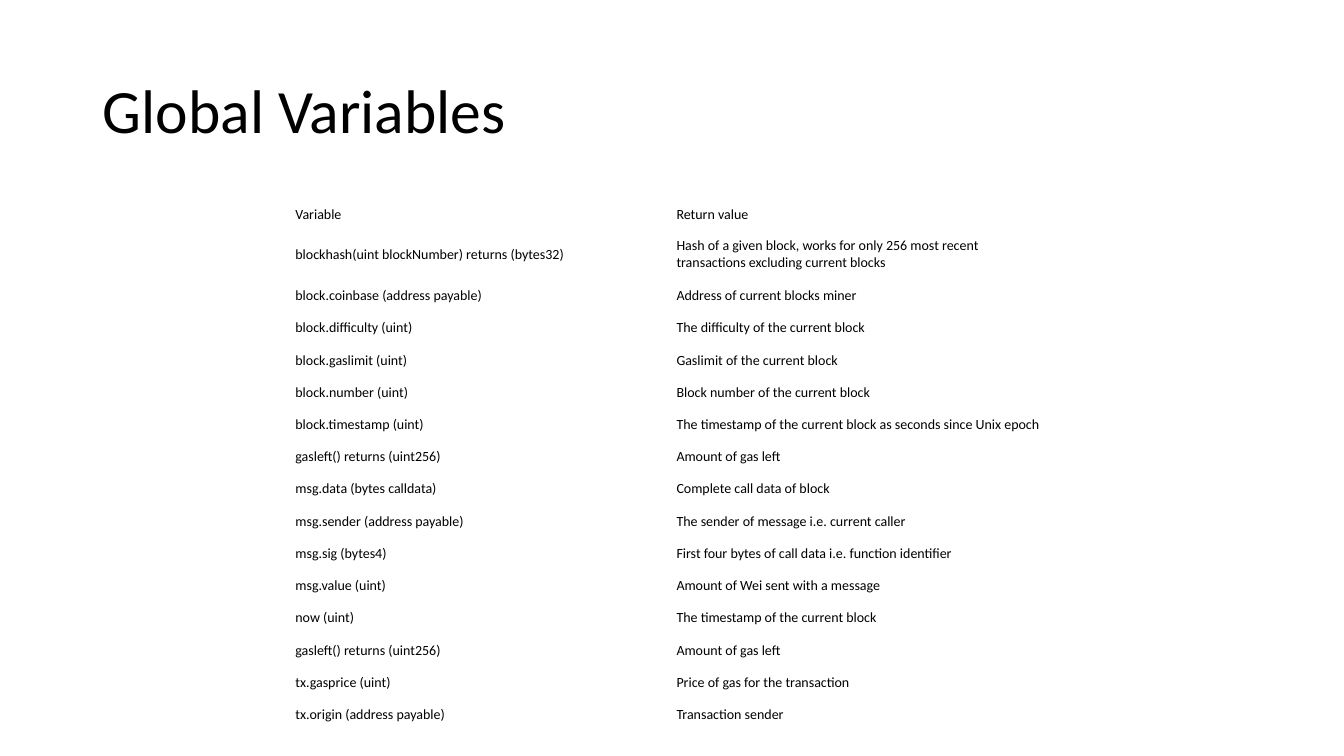
from dataclasses import dataclass

from pptx import Presentation
from pptx.dml.color import RGBColor
from pptx.enum.text import MSO_ANCHOR, PP_ALIGN
from pptx.util import Inches, Pt

TITLE = "Global Variables"
ROWS = [
    ("Variable", "Return value"),
    ("blockhash(uint blockNumber) returns (bytes32)",
     "Hash of a given block, works for only 256 most recent "
     "transactions excluding current blocks"),
    ("block.coinbase (address payable)", "Address of current blocks miner"),
    ("block.difficulty (uint)", "The difficulty of the current block"),
    ("block.gaslimit (uint)", "Gaslimit of the current block"),
    ("block.number (uint)", "Block number of the current block"),
    ("block.timestamp (uint)",
     "The timestamp of the current block as seconds since Unix epoch"),
    ("gasleft() returns (uint256)", "Amount of gas left"),
    ("msg.data (bytes calldata)", "Complete call data of block"),
    ("msg.sender (address payable)", "The sender of message i.e. current caller"),
    ("msg.sig (bytes4)", "First four bytes of call data i.e. function identifier"),
    ("msg.value (uint)", "Amount of Wei sent with a message"),
    ("now (uint)", "The timestamp of the current block"),
    ("gasleft() returns (uint256)", "Amount of gas left"),
    ("tx.gasprice (uint)", "Price of gas for the transaction"),
    ("tx.origin (address payable)", "Transaction sender"),
]


@dataclass(frozen=True)
class Theme:
    font: str = "Calibri"
    ink: RGBColor = RGBColor(0, 0, 0)
    paper: RGBColor = RGBColor(255, 255, 255)
    title: Pt = Pt(44)
    body: Pt = Pt(10)


THEME = Theme()
HEAD, TALL, LINE = 0.27, 0.5, 0.32
HEIGHTS = [HEAD, TALL] + [LINE] * (len(ROWS) - 2)
COL = 3.78


def style(para, size):
    para.font.name = THEME.font
    para.font.size = size
    para.font.color.rgb = THEME.ink


def add_title(slide):
    title = slide.shapes.title
    title.left, title.top = Inches(0.92), Inches(0.4)
    title.width, title.height = Inches(11.5), Inches(1.45)
    frame = title.text_frame
    frame.text = TITLE
    frame.vertical_anchor = MSO_ANCHOR.MIDDLE
    para = frame.paragraphs[0]
    para.alignment = PP_ALIGN.LEFT
    para.line_spacing = 0.9
    style(para, THEME.title)


def fill_cell(cell, text, top, bottom):
    cell.text = text
    cell.vertical_anchor = MSO_ANCHOR.MIDDLE
    cell.margin_left = cell.margin_right = Inches(0.05)
    cell.margin_top, cell.margin_bottom = Inches(top), Inches(bottom)
    cell.fill.solid()
    cell.fill.fore_color.rgb = THEME.paper
    style(cell.text_frame.paragraphs[0], THEME.body)


def add_grid(slide):
    cols = len(ROWS[0])
    table = slide.shapes.add_table(
        len(ROWS), cols, Inches(2.88), Inches(2),
        Inches(COL * cols), Inches(sum(HEIGHTS))).table
    table.first_row = table.horz_banding = False
    for col in table.columns:
        col.width = Inches(COL)
    for r, (texts, height) in enumerate(zip(ROWS, HEIGHTS)):
        table.rows[r].height = Inches(height)
        top, bottom = (0.08, 0.07) if r else (0.05, 0.05)
        for c, text in enumerate(texts):
            fill_cell(table.cell(r, c), text, top, bottom)


def main():
    deck = Presentation()
    deck.slide_width, deck.slide_height = Inches(13.33), Inches(7.5)
    slide = deck.slides.add_slide(deck.slide_layouts[5])
    add_title(slide)
    add_grid(slide)
    deck.save("out.pptx")


if __name__ == "__main__":
    main()
